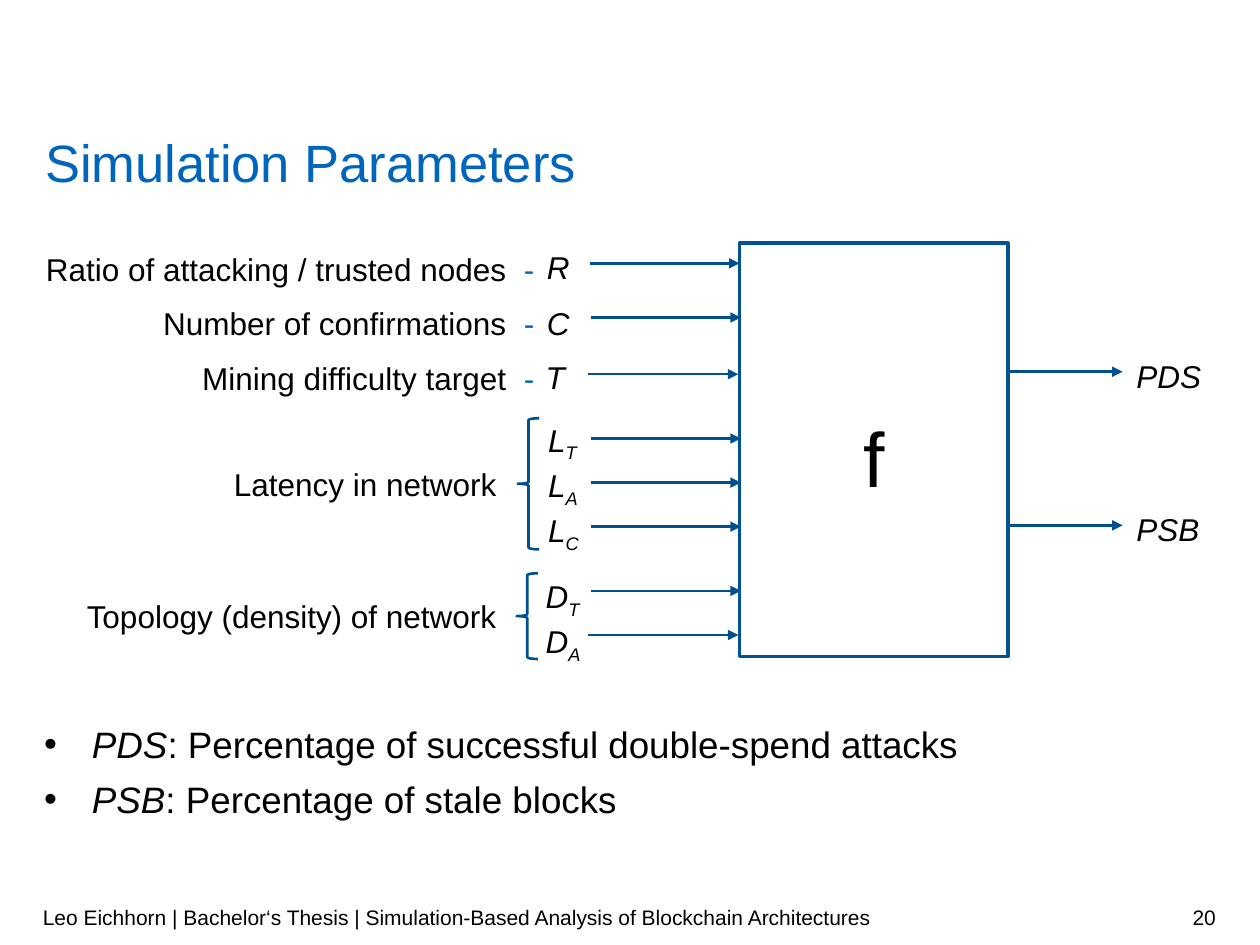
from dataclasses import dataclass, field

from lxml import etree
from pptx import Presentation
from pptx.dml.color import RGBColor
from pptx.enum.shapes import MSO_CONNECTOR, MSO_SHAPE
from pptx.enum.text import MSO_ANCHOR, PP_ALIGN
from pptx.oxml.ns import qn
from pptx.util import Inches, Pt

LEFT, CENTER, RIGHT = PP_ALIGN.LEFT, PP_ALIGN.CENTER, PP_ALIGN.RIGHT
TOP, MIDDLE = MSO_ANCHOR.TOP, MSO_ANCHOR.MIDDLE
RECT, BRACE = MSO_SHAPE.RECTANGLE, MSO_SHAPE.LEFT_BRACE
STRAIGHT = MSO_CONNECTOR.STRAIGHT

COLORS = {"text": "000000", "accent": "0065BD", "box": "005293",
          "line": "005090", "white": "FFFFFF"}
COLS, ROWS = 100, 75
ROW_H = 3.2

prs = Presentation()
prs.slide_width, prs.slide_height = Inches(10), Inches(7.5)
COL, ROW = prs.slide_width / COLS, prs.slide_height / ROWS
s = prs.slides.add_slide(prs.slide_layouts[6])


@dataclass
class Run:
    text: str
    fmt: dict = field(default_factory=dict)
    color: str = "text"
    xml: dict = field(default_factory=dict)


@dataclass
class Input:
    symbol: str
    sub: str
    col: float
    row: float
    start: float
    arrow_row: float


@dataclass
class Label:
    text: str
    right: float
    row: float
    dash: bool = False


@dataclass
class Output:
    name: str
    row: float
    arrow_row: float
    meaning: str


ITALIC = {"italic": True}
BODY = {"size": Pt(21)}
SUB = {"baseline": "-25000"}

INPUTS = [
    Input("R", "", 43.4, 19.3, 46.8, 20.9),
    Input("C", "", 43.4, 23.7, 46.9, 25.2),
    Input("T", "", 43.3, 28, 46.7, 29.7),
    Input("L", "T", 43.5, 32.9, 46.9, 34.8),
    Input("L", "A", 43.5, 36.5, 46.9, 38.3),
    Input("L", "C", 43.5, 40.1, 46.9, 41.8),
    Input("D", "T", 43.3, 45.3, 46.9, 46.9),
    Input("D", "A", 43.3, 48.9, 46.7, 50.4),
]
LABELS = [
    Label("Ratio of attacking / trusted nodes", 42.4, 19.4, True),
    Label("Number of confirmations", 42.4, 23.7, True),
    Label("Mining difficulty target", 42.4, 28.1, True),
    Label("Latency in network", 39.4, 36.5),
    Label("Topology (density) of network", 39.4, 47),
]
OUTPUTS = [
    Output("PDS", 27.9, 29.5, "Percentage of successful double-spend attacks"),
    Output("PSB", 40.1, 41.7, "Percentage of stale blocks"),
]
BRACES = [(41.1, 33.2, 1.7, 10.4), (41, 45.5, 1.7, 6.8)]


def grid(*cells: float) -> list[int]:
    return [round(c * (ROW if i % 2 else COL)) for i, c in enumerate(cells)]


def rgb(name: str) -> RGBColor:
    return RGBColor.from_string(COLORS[name])


def write(p, runs: list[Run], **para) -> None:
    for k, v in para.items():
        setattr(p, k, v)
    for run in runs:
        r = p.add_run()
        r.text = run.text
        for k, v in ({"name": "Arial", "size": Pt(18)} | run.fmt).items():
            setattr(r.font, k, v)
        r.font.color.rgb = rgb(run.color)
        for k, v in run.xml.items():
            r.font._element.set(k, v)


def text_box(cells: tuple, anchor=TOP):
    tf = s.shapes.add_textbox(*grid(*cells)).text_frame
    frame = {"word_wrap": True, "vertical_anchor": anchor, "margin_left": 0,
             "margin_right": 0, "margin_top": 0, "margin_bottom": 0}
    for k, v in frame.items():
        setattr(tf, k, v)
    return tf


def text(cells: tuple, runs: list[Run], align=LEFT, spacing=1.14, anchor=TOP) -> None:
    p = text_box(cells, anchor).paragraphs[0]
    write(p, runs, alignment=align, line_spacing=spacing)


def arrow(start: float, end: float, row: float) -> None:
    sp = s.shapes.add_connector(STRAIGHT, *grid(start, row, end, row))
    sp.line.color.rgb, sp.line.width = rgb("line"), Pt(1.5)
    etree.SubElement(sp.line._get_or_add_ln(), qn("a:tailEnd"), type="triangle")
    etree.SubElement(sp._element.spPr, qn("a:effectLst"))


def shape(kind, cells: tuple, line: str, width: float):
    sp = s.shapes.add_shape(kind, *grid(*cells))
    sp.shadow.inherit = False
    sp.fill.background()
    sp.line.color.rgb, sp.line.width = rgb(line), Pt(width)
    return sp


def bullet(p) -> None:
    pPr = p._p.get_or_add_pPr()
    indent = round(3.8 * COL)
    pPr.set("marL", str(indent))
    pPr.set("indent", str(-indent))
    etree.SubElement(pPr, qn("a:buFont"), typeface="Arial")
    etree.SubElement(pPr, qn("a:buChar"), char="•")


def main() -> None:
    text((3.6, 10.9, 93.1, 4.4),
         [Run("Simulation Parameters", {"size": Pt(30)}, "accent")], spacing=Pt(32))

    sp = shape(RECT, (58.7, 19.3, 21.3, 32.8), "box", 2)
    sp.fill.solid()
    sp.fill.fore_color.rgb = rgb("white")
    sp.text_frame.vertical_anchor = MIDDLE
    write(sp.text_frame.paragraphs[0], [Run("f", {"size": Pt(44)})],
          alignment=CENTER, line_spacing=1.14)

    for i in INPUTS:
        runs = [Run(i.symbol, ITALIC)]
        if i.sub:
            runs.append(Run(i.sub, ITALIC, xml=SUB))
        text((i.col, i.row, 6.8, ROW_H), runs)
        arrow(i.start, i.start + 11.9, i.arrow_row)

    for cells in BRACES:
        shape(BRACE, cells, "line", 1.5)

    for l in LABELS:
        runs = [Run(l.text)]
        if l.dash:
            runs += [Run(" ", xml={"spc": "500"}), Run("-", color="accent")]
        text((3, l.row, l.right - 3, ROW_H), runs, RIGHT)

    tf = text_box((3.5, 56.6, 93.1, 9))
    for n, o in enumerate(OUTPUTS):
        text((90.2, o.row, 9, ROW_H), [Run(o.name, ITALIC)])
        arrow(80, 89.1, o.arrow_row)
        p = tf.add_paragraph() if n else tf.paragraphs[0]
        write(p, [Run(o.name, BODY | ITALIC), Run(f": {o.meaning}", BODY)],
              line_spacing=1.2, space_after=Pt(1))
        bullet(p)

    small = {"size": Pt(12)}
    text((3.4, 70.8, 70.7, 4), [Run(
        "Leo Eichhorn | Bachelor‘s Thesis | Simulation-Based Analysis of "
        "Blockchain Architectures", small)], spacing=1, anchor=MIDDLE)
    text((74.1, 70.8, 22.4, 4), [Run("20", small)], RIGHT, 1, MIDDLE)

    prs.save("out.pptx")


if __name__ == "__main__":
    main()
